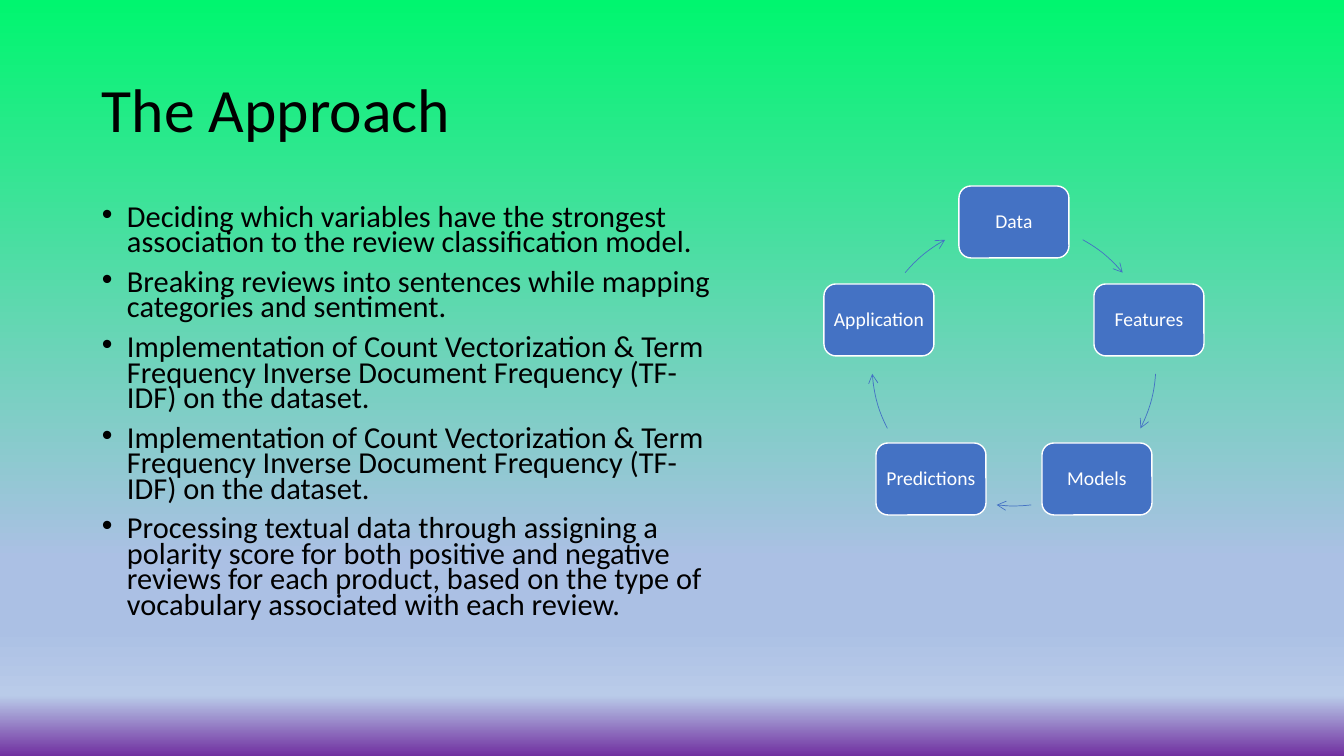
import math

from lxml import etree
from pptx import Presentation
from pptx.dml.color import RGBColor
from pptx.enum.shapes import MSO_SHAPE
from pptx.enum.text import MSO_ANCHOR, MSO_AUTO_SIZE, PP_ALIGN
from pptx.oxml.ns import qn
from pptx.util import Pt

LEFT, CENTER = PP_ALIGN.LEFT, PP_ALIGN.CENTER
TOP, MIDDLE = MSO_ANCHOR.TOP, MSO_ANCHOR.MIDDLE
NO_AUTOFIT = MSO_AUTO_SIZE.NONE
ROUNDED, ARC = MSO_SHAPE.ROUNDED_RECTANGLE, MSO_SHAPE.ARC

THEME = {
    "font": "Calibri",
    "title_size": 44,
    "body_size": 21.7,
    "node_size": 14,
    "text": "000000",
    "accent": "4472C4",
    "light": "FFFFFF",
    "gradient": [(0, "00F66F"), (74, "ABC0E4"), (83, "ABC0E4"),
                 (92, "B9CBE9"), (100, "7030A0")],
}
EMU_PER_PX = 914400 / 100.8


def px(n):
    return round(n * EMU_PER_PX)


def write(sp, *lines, size, color=THEME["text"], align=LEFT, anchor=MIDDLE,
          spacing=0.9, before=0, inset=(10, 5), hanging=0):
    """Fill a shape with one paragraph per line."""
    tf = sp.text_frame
    tf.word_wrap, tf.auto_size, tf.vertical_anchor = True, NO_AUTOFIT, anchor
    tf.margin_left = tf.margin_right = px(inset[0])
    tf.margin_top = tf.margin_bottom = px(inset[1])
    for i, line in enumerate(lines):
        p = tf.add_paragraph() if i else tf.paragraphs[0]
        p.alignment, p.line_spacing, p.space_before = align, spacing, Pt(before)
        if hanging:
            pPr = p._p.get_or_add_pPr()
            pPr.set("marL", str(px(hanging)))
            pPr.set("indent", str(-px(hanging)))
        r = p.add_run()
        r.text = line
        r.font.name, r.font.size = THEME["font"], Pt(size)
        r.font.color.rgb = RGBColor.from_string(color)


prs = Presentation()
prs.slide_width, prs.slide_height = px(1344), px(756)
s = prs.slides.add_slide(prs.slide_layouts[1])

# Background gradient, top to bottom
fill = s.background.fill
fill.gradient()
fill.gradient_angle = 270
stops = s.element.find(".//" + qn("a:gsLst"))
for stop in list(stops):
    stops.remove(stop)
for percent, color in THEME["gradient"]:
    stop = etree.SubElement(stops, qn("a:gs"), pos=str(percent * 1000))
    etree.SubElement(stop, qn("a:srgbClr"), val=color)

# Title and bullets
title, body = s.placeholders
title.left, title.top, title.width, title.height = map(px, (92, 40, 1159, 146))
write(title, "The Approach", size=THEME["title_size"])

VECTORIZATION = ("Implementation of Count Vectorization & Term Frequency "
                 "Inverse Document Frequency (TF-IDF) on the dataset.")
body.left, body.top, body.width, body.height = map(px, (92, 202, 633, 480))
write(body,
      "Deciding which variables have the strongest association to the review "
      "classification model.",
      "Breaking reviews into sentences while mapping categories and sentiment.",
      VECTORIZATION,
      VECTORIZATION,
      "Processing textual data through assigning a polarity score for both "
      "positive and negative reviews for each product, based on the type of "
      "vocabulary associated with each review.",
      size=THEME["body_size"], anchor=TOP, spacing=0.7, before=10, hanging=25)

# Cycle: nodes evenly spaced on a circle, each followed by an arc arrow
CX, CY, RADIUS = 1014, 364, 142
NODE_W, NODE_H = 110, 72
CYCLE = [  # label, start and end angle of the arrow in degrees clockwise
    ("Data", 299, 320),
    ("Features", 4, 27),
    ("Models", 83, 97),
    ("Predictions", 153, 176),
    ("Application", 220, 241),
]
for i, (label, start, end) in enumerate(CYCLE):
    angle = math.radians(360 / len(CYCLE) * i - 90)
    x = round(CX + RADIUS * math.cos(angle) - NODE_W / 2)
    y = round(CY + RADIUS * math.sin(angle) - NODE_H / 2)
    node = s.shapes.add_shape(ROUNDED, px(x), px(y), px(NODE_W), px(NODE_H))
    node.shadow.inherit = False
    node.fill.solid()
    node.fill.fore_color.rgb = RGBColor.from_string(THEME["accent"])
    node.line.color.rgb = RGBColor.from_string(THEME["light"])
    node.line.width = Pt(1)
    write(node, label, size=THEME["node_size"], color=THEME["light"],
          align=CENTER, inset=(6, 6))

    arrow = s.shapes.add_shape(ARC, px(CX - RADIUS), px(CY - RADIUS),
                               px(2 * RADIUS), px(2 * RADIUS))
    arrow.shadow.inherit = False
    arrow.fill.background()
    # Arc angles are stored in 1/60000 degree, adjustments in 1/100000
    arrow.adjustments[0], arrow.adjustments[1] = start * 0.6, end * 0.6
    arrow.line.color.rgb = RGBColor.from_string(THEME["accent"])
    arrow.line.width = Pt(0.5)
    etree.SubElement(arrow.line._get_or_add_ln(), qn("a:tailEnd"), type="arrow")

prs.save("out.pptx")
